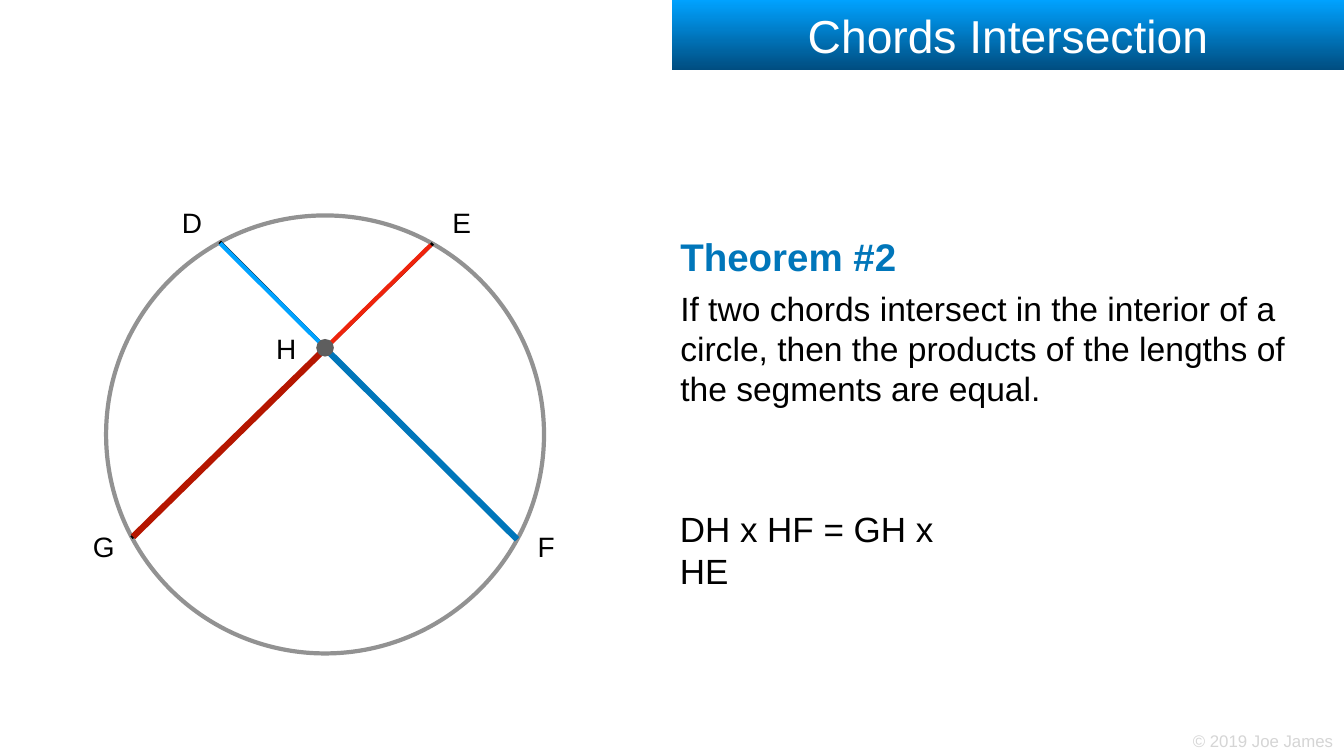
from lxml import etree
from pptx import Presentation
from pptx import util as u
from pptx.dml.color import RGBColor
from pptx.enum import shapes, text
from pptx.oxml.ns import qn

THEME = {
    "font": "Arial",
    "title": 66, "heading": 55, "formula": 50, "body": 48, "label": 40, "footer": 24,
    "white": "FFFFFF", "black": "000000", "pale": "D5D5D5",
    "circle": "929292", "point": "5E5E5E",
    "blue": "0076BA", "light_blue": "00A2FF", "dark_blue": "004D80",
    "red": "B51600", "light_red": "EE230C",
}
WIDTH, HEIGHT = 26.67, 15
INSET = 0.06

TITLE = "Chords Intersection"
THEOREM = [
    ("Theorem #2", "heading", "blue", True),
    ("If two chords intersect in the interior of a circle, then the products "
     "of the lengths of the segments are equal.", "body", "black", False),
]
FORMULA = [("DH x HF = GH x HE", "formula", "black", False)]
COPYRIGHT = [("© 2019 Joe James", "footer", "pale", False)]

CIRCLE = (6.45, 8.62, 8.69)
INTERSECTION = (6.45, 6.9, 0.35)
LABELS = {
    "D": (3.81, 4.42),
    "E": (9.16, 4.42),
    "F": (10.84, 10.83),
    "G": (2.06, 10.83),
    "H": (5.68, 6.91),
}
LABEL_SIZE = (0.54, 0.76)
SEGMENTS = [
    ((2.61, 10.67), (8.59, 4.83), "black", 5),
    ((10.26, 10.7), (4.36, 4.8), "black", 5),
    ((10.26, 10.7), (6.52, 6.98), "blue", 9),
    ((6.38, 6.83), (4.37, 4.83), "light_blue", 6),
    ((2.64, 10.65), (6.43, 6.94), "red", 9),
    ((6.57, 6.8), (8.55, 4.86), "light_red", 6),
]


def color(name):
    return RGBColor.from_string(THEME[name])


def style(para, size, shade, bold=False):
    para.font.name = THEME["font"]
    para.font.size = u.Pt(THEME[size])
    para.font.bold = bold
    para.font.color.rgb = color(shade)


def prepare_frame(frame, anchor, wrap=True):
    frame.margin_left = frame.margin_right = u.Inches(INSET)
    frame.margin_top = frame.margin_bottom = u.Inches(INSET)
    frame.vertical_anchor = anchor
    frame.word_wrap = wrap
    frame.auto_size = text.MSO_AUTO_SIZE.NONE


def add_text(slide, bounds, lines, anchor=text.MSO_ANCHOR.TOP,
             align=text.PP_ALIGN.LEFT, wrap=True):
    box = slide.shapes.add_textbox(*map(u.Inches, bounds))
    frame = box.text_frame
    prepare_frame(frame, anchor, wrap)
    for index, (words, size, shade, bold) in enumerate(lines):
        para = frame.add_paragraph() if index else frame.paragraphs[0]
        para.text = words
        para.alignment = align
        para.space_before = u.Pt(12 if index else 0)
        style(para, size, shade, bold)


def add_title(slide):
    title = slide.shapes.title
    title.left, title.top = u.Inches(WIDTH / 2), 0
    title.width, title.height = u.Inches(WIDTH / 2), u.Inches(1.39)
    title.fill.gradient()
    title.fill.gradient_angle = 270
    for stop, shade, position in zip(title.fill.gradient_stops,
                                     ("light_blue", "dark_blue"), (0, 1)):
        stop.color.rgb = color(shade)
        stop.position = position
    prepare_frame(title.text_frame, text.MSO_ANCHOR.MIDDLE)
    para = title.text_frame.paragraphs[0]
    para.text = TITLE
    para.alignment = text.PP_ALIGN.CENTER
    style(para, "title", "white")


def add_disc(slide, center_x, center_y, diameter):
    disc = slide.shapes.add_shape(
        shapes.MSO_SHAPE.OVAL,
        u.Inches(center_x - diameter / 2), u.Inches(center_y - diameter / 2),
        u.Inches(diameter), u.Inches(diameter))
    disc.shadow.inherit = False
    return disc


def add_segment(slide, start, end, shade, weight):
    segment = slide.shapes.add_connector(
        shapes.MSO_CONNECTOR.STRAIGHT, *map(u.Inches, start + end))
    segment.line.color.rgb = color(shade)
    segment.line.width = u.Pt(weight)
    etree.SubElement(segment._element.spPr, qn("a:effectLst"))


def main():
    deck = Presentation()
    deck.slide_width, deck.slide_height = u.Inches(WIDTH), u.Inches(HEIGHT)
    slide = deck.slides.add_slide(deck.slide_layouts[5])

    add_text(slide, (23.61, 14.45, 2.91, 0.49), COPYRIGHT,
             text.MSO_ANCHOR.MIDDLE, wrap=False)
    add_title(slide)

    circle = add_disc(slide, *CIRCLE)
    circle.fill.background()
    circle.line.color.rgb = color("circle")
    circle.line.width = u.Pt(6)

    add_text(slide, (13.44, 4.56, 12.22, 4.25), THEOREM)
    add_text(slide, (13.43, 10.01, 6.26, 0.93), FORMULA)

    label_width, label_height = LABEL_SIZE
    for name, (center_x, center_y) in LABELS.items():
        bounds = (center_x - label_width / 2, center_y - label_height / 2, *LABEL_SIZE)
        add_text(slide, bounds, [(name, "label", "black", False)],
                 text.MSO_ANCHOR.MIDDLE, text.PP_ALIGN.CENTER, wrap=False)

    for segment in SEGMENTS:
        add_segment(slide, *segment)

    point = add_disc(slide, *INTERSECTION)
    point.fill.solid()
    point.fill.fore_color.rgb = color("point")
    point.line.fill.background()

    deck.save("out.pptx")


if __name__ == "__main__":
    main()
